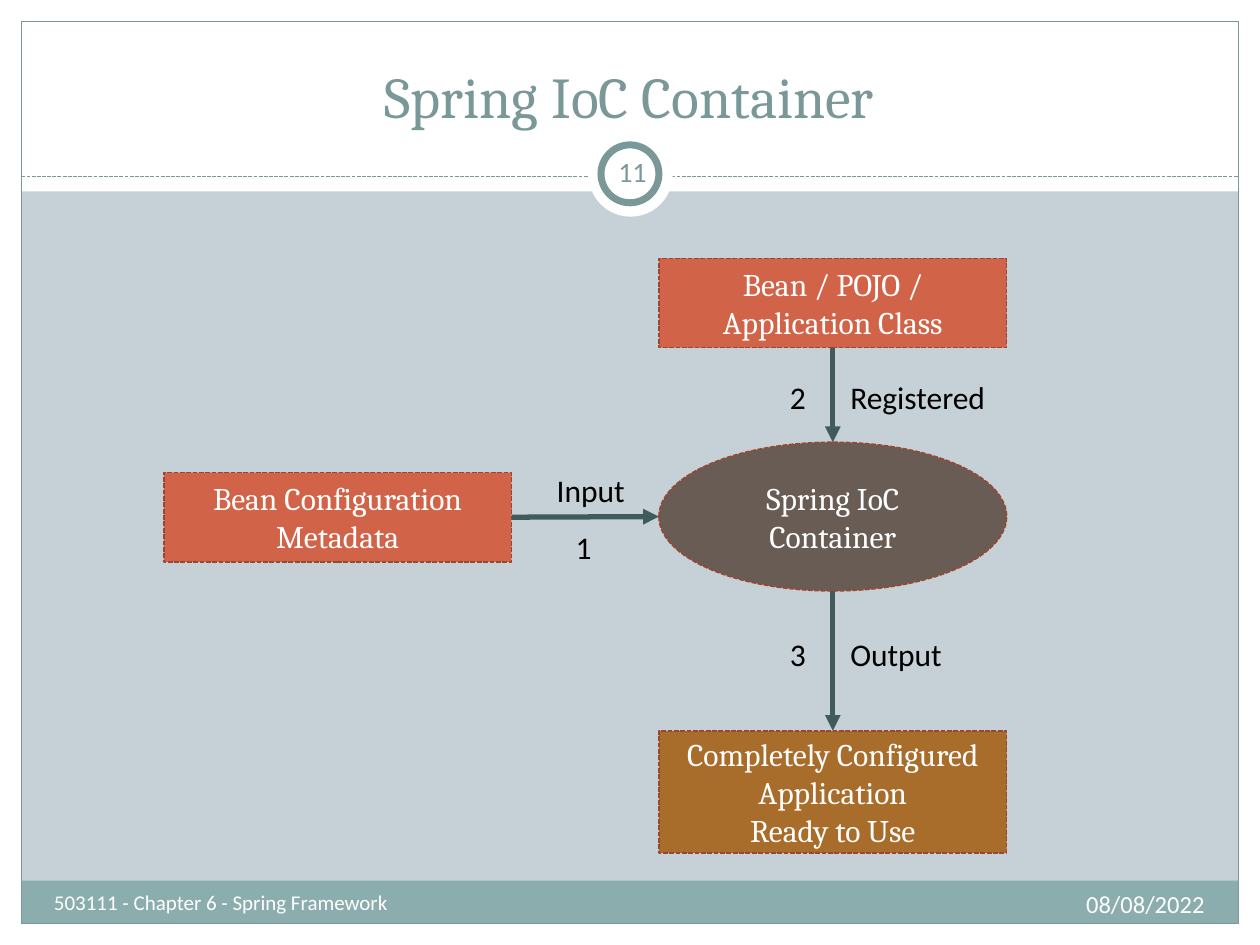
from lxml import etree
from pptx import Presentation
from pptx.dml.color import RGBColor
from pptx.enum import dml, shapes, text
from pptx.oxml import ns
from pptx.util import Inches, Pt

WHITE = RGBColor(0xFF, 0xFF, 0xFF)
BLACK = RGBColor(0, 0, 0)
BACK = RGBColor(0xC5, 0xD1, 0xD7)
TEAL = RGBColor(0x7B, 0x98, 0x99)
FOOT = RGBColor(0x8C, 0xAD, 0xAE)
RED = RGBColor(0xD1, 0x63, 0x49)
BROWN = RGBColor(0xA9, 0x6D, 0x2B)
GREY = RGBColor(0x69, 0x5C, 0x54)
EDGE = RGBColor(0x99, 0x47, 0x33)
ARROW = RGBColor(0x41, 0x5B, 0x5C)

RECT, OVAL = shapes.MSO_SHAPE.RECTANGLE, shapes.MSO_SHAPE.OVAL
DASH = dml.MSO_LINE.SQUARE_DOT
LEFT, CENTER, RIGHT = text.PP_ALIGN.LEFT, text.PP_ALIGN.CENTER, text.PP_ALIGN.RIGHT
TOP, MIDDLE = text.MSO_ANCHOR.TOP, text.MSO_ANCHOR.MIDDLE

TITLE = "Spring IoC Container"
BANDS = [
    (0, 7.33, 10, 0.17, WHITE),
    (0, 0, 10, 1.52, WHITE),
    (0, 0, 0.17, 7.5, WHITE),
    (9.83, 0, 0.17, 7.5, WHITE),
    (0.17, 6.99, 9.66, 0.34, FOOT),
]
NODES = {
    "bean": (RECT, 5.23, 2.05, 0.71, RED, "Bean / POJO / Application Class"),
    "config": (RECT, 1.3, 3.75, 0.71, RED, "Bean Configuration Metadata"),
    "app": (RECT, 5.23, 5.8, 0.97, BROWN,
            "Completely Configured Application\nReady to Use"),
    "container": (OVAL, 5.23, 3.51, 1.18, GREY, "Spring IoC Container"),
}
NODE_W = 2.76
LABELS = [
    ("Registered", 6.65, 2.95, 1.34),
    ("Input", 4.32, 3.69, 0.75),
    ("Output", 6.65, 4.99, 0.94),
    ("1", 4.47, 4.14, 0.28),
    ("2", 6.17, 2.95, 0.28),
    ("3", 6.17, 4.99, 0.28),
]


def write(sp, content, size, font, color, align, anchor=TOP, wrap=True):
    tf = sp.text_frame
    tf.text = content
    tf.word_wrap = wrap
    tf.vertical_anchor = anchor
    for p in tf.paragraphs:
        p.alignment = align
        for r in p.runs:
            r.font.size = Pt(size)
            r.font.name = font
            r.font.color.rgb = color


def set_line(line, color, width, dash=None):
    line.color.rgb = color
    line.width = Pt(width)
    if dash:
        line.dash_style = dash


def add_shape(s, kind, box, fill=None, line=None):
    sp = s.shapes.add_shape(kind, *map(Inches, box))
    sp.shadow.inherit = False
    if fill is None:
        sp.fill.background()
    else:
        sp.fill.solid()
        sp.fill.fore_color.rgb = fill
    if line:
        set_line(sp.line, *line)
    else:
        sp.line.fill.background()
    return sp


def add_label(s, content, box, size, color, align, anchor=TOP, wrap=True):
    sp = s.shapes.add_textbox(*map(Inches, box))
    write(sp, content, size, "Calibri", color, align, anchor, wrap)
    return sp


def add_line(s, start, end, color, width, dash=None, arrow=False):
    c = s.shapes.add_connector(shapes.MSO_CONNECTOR.STRAIGHT, *start, *end)
    set_line(c.line, color, width, dash)
    if arrow:
        etree.SubElement(c.line._get_or_add_ln(), ns.qn("a:tailEnd"), type="triangle")
    etree.SubElement(c._element.spPr, ns.qn("a:effectLst"))
    return c


def middle(sp, side):
    x, y = sp.left + sp.width // 2, sp.top + sp.height // 2
    return {
        "top": (x, sp.top),
        "left": (sp.left, y),
        "bottom": (x, sp.top + sp.height),
        "right": (sp.left + sp.width, y),
    }[side]


def add_frame(s):
    for *box, fill in BANDS:
        add_shape(s, RECT, box, fill)
    add_shape(s, RECT, (0.17, 0.17, 9.66, 7.16), line=(TEAL, 0.75))
    add_line(s, (Inches(0.17), Inches(1.4)), (Inches(9.83), Inches(1.4)), TEAL, 0.75, DASH)
    add_shape(s, OVAL, (4.67, 1.05, 0.67, 0.67), WHITE)
    add_shape(s, OVAL, (4.77, 1.15, 0.46, 0.46), WHITE, (TEAL, 4))


def add_title(s):
    sp = s.shapes.title
    sp.left, sp.top, sp.width, sp.height = map(Inches, (0.33, 0.25, 9.33, 0.83))
    write(sp, TITLE, 33, "Cambria", TEAL, CENTER, text.MSO_ANCHOR.BOTTOM)
    sp._element.getparent().append(sp._element)


def add_diagram(s):
    node = {}
    for name, (kind, x, y, h, fill, content) in NODES.items():
        sp = add_shape(s, kind, (x, y, NODE_W, h), fill, (EDGE, 0.91, DASH))
        write(sp, content, 18, "Cambria", WHITE, CENTER, MIDDLE)
        node[name] = sp
    hub = node["container"]
    c = add_line(s, middle(node["config"], "right"), middle(hub, "left"), ARROW, 3, arrow=True)
    c.begin_connect(node["config"], 3)
    c = add_line(s, middle(node["bean"], "bottom"), middle(hub, "top"), ARROW, 3, arrow=True)
    c.begin_connect(node["bean"], 2)
    c = add_line(s, middle(hub, "bottom"), middle(node["app"], "top"), ARROW, 3, arrow=True)
    c.end_connect(node["app"], 0)
    for content, x, y, w in LABELS:
        add_label(s, content, (x, y, w, 0.4), 18, BLACK, LEFT, wrap=False)


def main():
    prs = Presentation()
    prs.slide_width, prs.slide_height = Inches(10), Inches(7.5)
    s = prs.slides.add_slide(prs.slide_layouts[5])
    s.background.fill.solid()
    s.background.fill.fore_color.rgb = BACK
    add_frame(s)
    add_title(s)
    number = add_label(s, "11", (4.77, 1.12, 0.5, 0.48), 16, TEAL, CENTER, MIDDLE)
    number.text_frame.margin_left = number.text_frame.margin_right = Inches(0.05)
    add_label(s, "503111 - Chapter 6 - Spring Framework", (0.33, 7.01, 3.92, 0.4), 12, WHITE, LEFT)
    add_diagram(s)
    add_label(s, "08/08/2022", (6.33, 7.01, 3.33, 0.4), 14, WHITE, RIGHT)
    prs.save("out.pptx")


if __name__ == "__main__":
    main()
